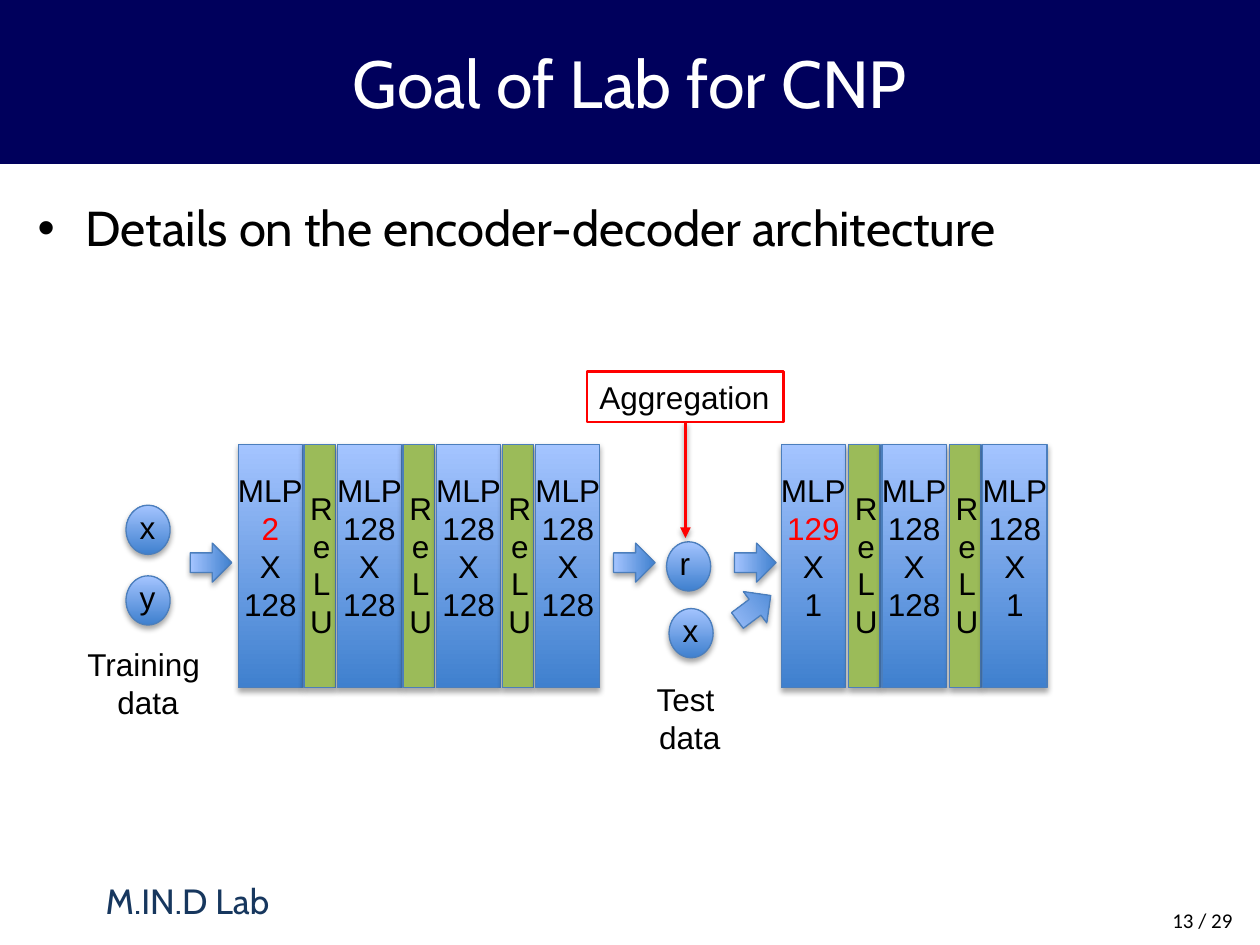
from lxml import etree
from pptx import Presentation
from pptx.dml.color import RGBColor
from pptx.enum.shapes import MSO_CONNECTOR, MSO_SHAPE
from pptx.enum.text import MSO_ANCHOR, MSO_AUTO_SIZE, PP_ALIGN
from pptx.oxml.ns import qn
from pptx.util import Inches, Pt

RECTANGLE, ELLIPSE, DOWN_ARROW = MSO_SHAPE.RECTANGLE, MSO_SHAPE.OVAL, MSO_SHAPE.DOWN_ARROW
STRAIGHT = MSO_CONNECTOR.STRAIGHT
LEFT, CENTER, RIGHT = PP_ALIGN.LEFT, PP_ALIGN.CENTER, PP_ALIGN.RIGHT
MIDDLE, TOP = MSO_ANCHOR.MIDDLE, MSO_ANCHOR.TOP
GROW, FIXED = MSO_AUTO_SIZE.SHAPE_TO_FIT_TEXT, MSO_AUTO_SIZE.NONE

NAVY = RGBColor(0x00, 0x00, 0x5C)
LAB_BLUE = RGBColor(0x17, 0x37, 0x5E)
DEEP_BLUE = RGBColor(0x3F, 0x80, 0xCE)
PALE_BLUE = RGBColor(0xA4, 0xC4, 0xFF)
EDGE_BLUE = RGBColor(0x4B, 0x7E, 0xBC)
GREEN = RGBColor(0x9B, 0xBB, 0x59)
RED = RGBColor(0xFF, 0x00, 0x00)
BLACK = RGBColor(0x00, 0x00, 0x00)
WHITE = RGBColor(0xFF, 0xFF, 0xFF)

STACK_TOP, STACK_ROWS = 35.3, 19.3
MLP_WIDTH, RELU_WIDTH, RELU_LEAD = 5.1, 2.5, 2.65


class Diagram:
    cell = Inches(0.1)
    heading_font, label_font, number_font = "Cabin", "Arial", "Calibri"
    label_size = 18

    def __init__(self, slide):
        self.slide = slide

    def box(self, *grid):
        return [round(length * self.cell) for length in grid]

    def style(self, paragraph, font, size, color, align):
        paragraph.alignment = align
        paragraph.font.name = font
        paragraph.font.size = Pt(size)
        paragraph.font.color.rgb = color

    def title(self, text, *grid):
        title = self.slide.shapes.title
        title.left, title.top, title.width, title.height = self.box(*grid)
        title.fill.solid()
        title.fill.fore_color.rgb = NAVY
        frame = title.text_frame
        frame.text = text
        frame.auto_size = FIXED
        frame.vertical_anchor = MIDDLE
        self.style(frame.paragraphs[0], self.heading_font, 38, WHITE, CENTER)

    def text(self, text, grid, font, size, color=BLACK, align=LEFT, anchor=TOP, bullet=False):
        frame = self.slide.shapes.add_textbox(*self.box(*grid)).text_frame
        frame.word_wrap = True
        frame.vertical_anchor = anchor
        paragraph = frame.paragraphs[0]
        paragraph.text = text
        if bullet:
            properties = paragraph._p.get_or_add_pPr()
            properties.set("marL", str(Inches(0.38)))
            properties.set("indent", str(-Inches(0.38)))
            etree.SubElement(properties, qn("a:buFont"), typeface="Arial")
            etree.SubElement(properties, qn("a:buChar"), char="•")
        self.style(paragraph, font, size, color, align)

    def label(self, lines, center, top, width, height, highlight=None, align=CENTER):
        label = self.slide.shapes.add_textbox(*self.box(center - width / 2, top, width, height))
        frame = label.text_frame
        frame.word_wrap = False
        frame.auto_size = GROW
        frame.text = "\n".join(lines)
        for row, paragraph in enumerate(frame.paragraphs):
            color = RED if row == highlight else BLACK
            self.style(paragraph, self.label_font, self.label_size, color, align)
        return label

    def shadow(self, properties, distance, opacity):
        effects = properties.find(qn("a:effectLst"))
        if effects is None:
            effects = etree.SubElement(properties, qn("a:effectLst"))
        outer = etree.SubElement(effects, qn("a:outerShdw"), blurRad="40000",
                                 dist=str(distance), dir="5400000", rotWithShape="0")
        black = etree.SubElement(outer, qn("a:srgbClr"), val=str(BLACK))
        etree.SubElement(black, qn("a:alpha"), val=str(opacity * 1000))

    def block(self, preset, *grid, fill=None, rotation=0):
        block = self.slide.shapes.add_shape(preset, *self.box(*grid))
        block.rotation = rotation
        if fill is None:
            block.fill.gradient()
            block.fill.gradient_angle = 90
            for stop, color in zip(block.fill.gradient_stops, (DEEP_BLUE, PALE_BLUE)):
                stop.color.rgb = color
        else:
            block.fill.solid()
            block.fill.fore_color.rgb = fill
        block.line.color.rgb = EDGE_BLUE
        block.line.width = Pt(0.75)
        block.shadow.inherit = False
        self.shadow(block.element.spPr, 23000, 35)

    def node(self, letter, left, top, letter_center):
        self.block(ELLIPSE, left, top, 3.5, 3.9)
        width = 2.9 if letter == "r" else 3.3
        return self.label([letter], letter_center, top - 0.3, width, 4, align=LEFT)

    def stack(self, left, pitch, sizes):
        for index, (inputs, outputs) in enumerate(sizes):
            mlp = left + index * pitch
            if index:
                relu = mlp - RELU_LEAD
                self.block(RECTANGLE, relu, STACK_TOP, RELU_WIDTH, STACK_ROWS, fill=GREEN)
                self.label("ReLU", relu + RELU_WIDTH / 2 + 0.15, 38.3, 3.8, 13.1)
            self.block(RECTANGLE, mlp, STACK_TOP, MLP_WIDTH, STACK_ROWS)
            self.label(["MLP", inputs, "X", outputs], mlp + MLP_WIDTH / 2, 36.9, 7.2, 13.1,
                       highlight=None if index else 1)

    def arrow(self, source, target):
        arrow = self.slide.shapes.add_connector(STRAIGHT, 0, 0, 0, 0)
        arrow.begin_connect(source, 2)
        arrow.end_connect(target, 0)
        arrow.line.color.rgb = RED
        arrow.line.width = Pt(2)
        properties = arrow.element.spPr
        etree.SubElement(properties.find(qn("a:ln")), qn("a:tailEnd"), type="triangle")
        self.shadow(properties, 20000, 38)


def main():
    deck = Presentation()
    deck.slide_width, deck.slide_height = Inches(10), Inches(7.5)
    diagram = Diagram(deck.slides.add_slide(deck.slide_layouts[5]))

    diagram.title("Goal of Lab for CNP", 0, 0, 100, 13)
    diagram.text("M.IN.D Lab", (7.4, 69.3, 20.1, 4.4), diagram.heading_font, 20, LAB_BLUE)
    diagram.text("Details on the encoder-decoder architecture", (2, 15.2, 95.2, 51.8),
                 diagram.heading_font, 28, bullet=True)
    diagram.text("13 / 29", (76.3, 71, 22.5, 4), diagram.number_font, 12,
                 align=RIGHT, anchor=MIDDLE)

    diagram.stack(18.9, 7.87, [("2", "128")] + [("128", "128")] * 3)
    diagram.stack(62, 8, [("129", "1"), ("128", "128"), ("128", "1")])

    diagram.node("x", 10, 40.1, 11.75)
    diagram.node("y", 10, 45.7, 11.75)
    diagram.node("x", 53.1, 48.3, 54.85)
    representation = diagram.node("r", 52.9, 43, 54.4)
    diagram.label(["Training ", "data"], 11.75, 50.7, 11.7, 7.1)
    diagram.label(["Test ", "data"], 54.75, 53.5, 7.3, 7.1)

    for left, top, rotation in ((15.2, 43, 270), (48.8, 43, 270),
                                (58.4, 43, 270), (58.3, 46.6, 233.2)):
        diagram.block(DOWN_ARROW, left, top, 3.1, 3.3, rotation=rotation)

    aggregation = diagram.label(["Aggregation"], 54.4, 29.5, 15.6, 4, align=LEFT)
    aggregation.line.color.rgb = RED
    aggregation.line.width = Pt(1.5)
    diagram.arrow(aggregation, representation)

    deck.save("out.pptx")


if __name__ == "__main__":
    main()
